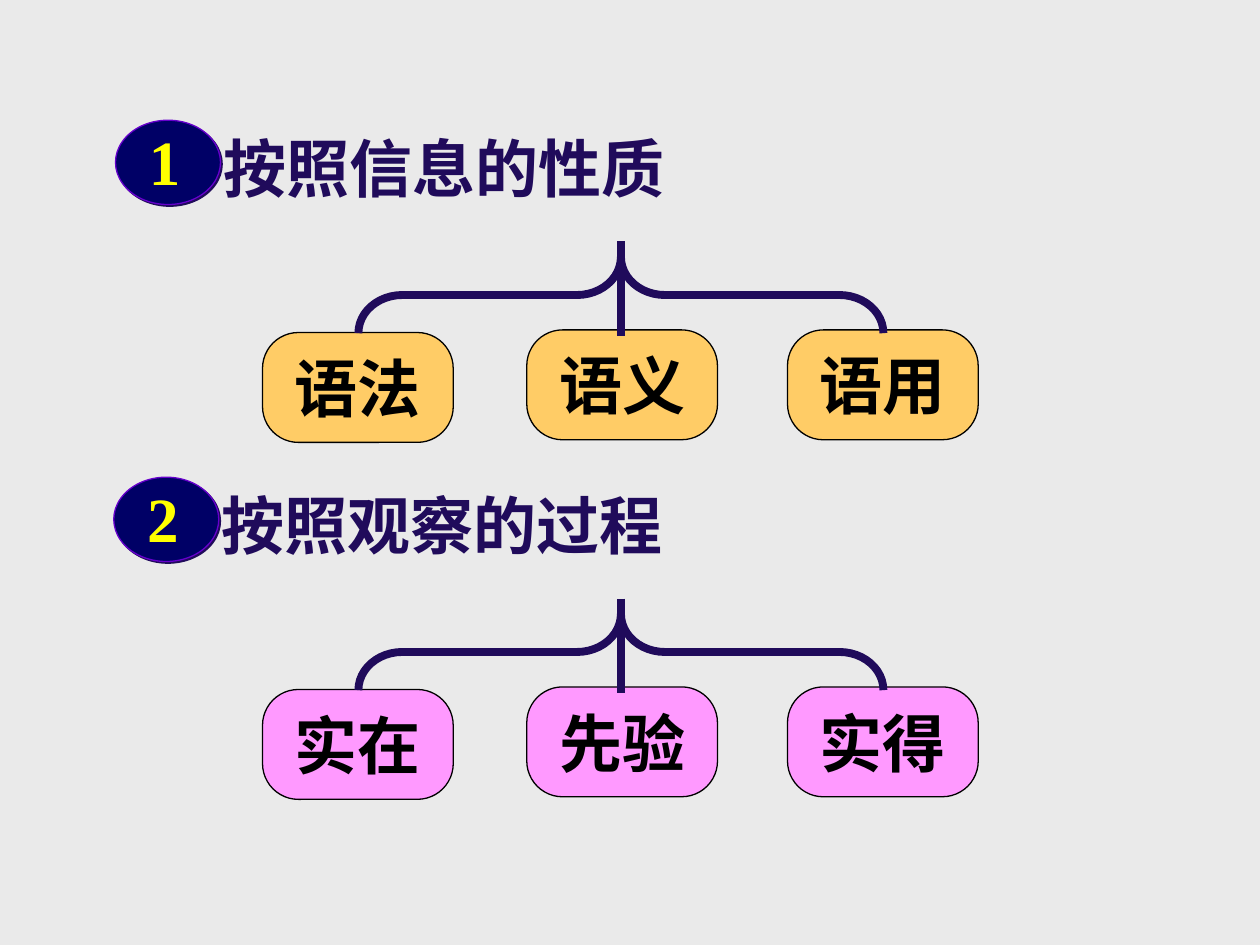
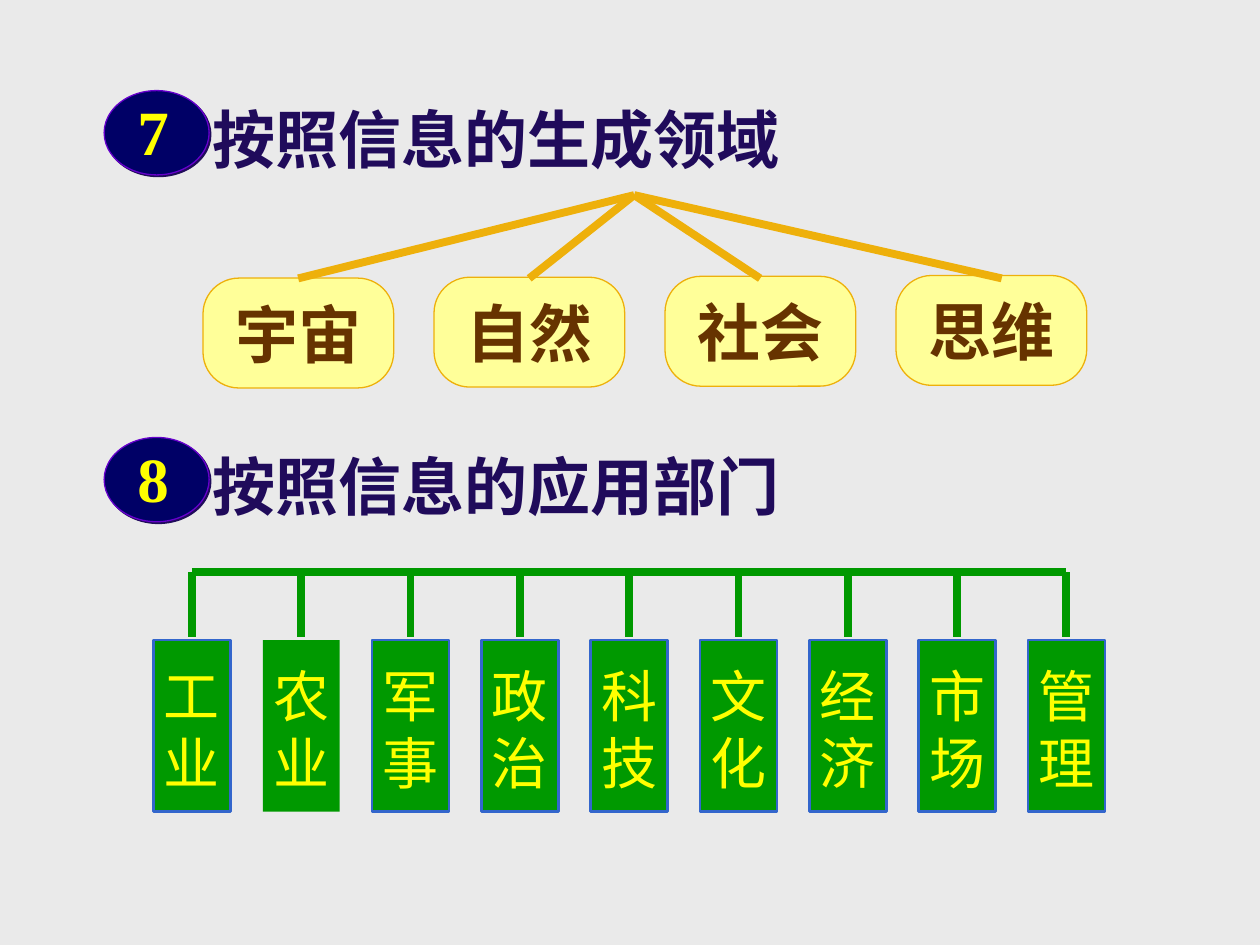
from lxml.etree import SubElement
from pptx import Presentation
from pptx.dml.color import RGBColor
from pptx.enum.shapes import MSO_CONNECTOR, MSO_SHAPE
from pptx.enum.text import MSO_ANCHOR, PP_ALIGN
from pptx.oxml.ns import qn
from pptx.util import Pt

COLORS = {
    "background": "EAEAEA", "heading": "200B5B", "badge": "000066",
    "badge_edge": "6600CC", "yellow": "FFFF00", "black": "000000",
    "orange": "FFCC66", "pink": "FF99FF", "cream": "FFFF99",
    "gold": "EEB00B", "brown": "663300", "green": "009900", "blue": "3366CC",
}
TILE_W, TILE_H = 109, 62.8
BRANCH_WEIGHT = 4.5


def color(name):
    """Return the named palette colour."""
    return RGBColor.from_string(COLORS[name])


def add_figure(slide, preset, box, fill, edge=None, weight=0.75):
    """Add a preset shape without theme effects."""
    figure = slide.shapes.add_shape(preset, *map(Pt, box))
    figure.shadow.inherit = False
    if fill:
        figure.fill.solid()
        figure.fill.fore_color.rgb = color(fill)
    else:
        figure.fill.background()
    if edge:
        figure.line.color.rgb = color(edge)
        figure.line.width = Pt(weight)
    else:
        figure.line.fill.background()
    return figure


def write(holder, words, font, size, ink, bold=True, align=PP_ALIGN.LEFT,
          anchor=MSO_ANCHOR.TOP, margins=(7.2, 3.6, 7.2, 3.6), wrap=True):
    """Fill a shape or text box with one styled paragraph."""
    frame = holder.text_frame
    frame.word_wrap = wrap
    frame.vertical_anchor = anchor
    (frame.margin_left, frame.margin_top,
     frame.margin_right, frame.margin_bottom) = map(Pt, margins)
    paragraph = frame.paragraphs[0]
    paragraph.text = words
    paragraph.alignment = align
    paragraph.font.name = font
    paragraph.font.size = Pt(size)
    paragraph.font.bold = bold
    paragraph.font.color.rgb = color(ink)


def add_branch(slide, start, end, ink):
    """Draw one thick straight branch between two points."""
    branch = slide.shapes.add_connector(
        MSO_CONNECTOR.STRAIGHT, *map(Pt, (*start, *end)))
    branch.line.color.rgb = color(ink)
    branch.line.width = Pt(BRANCH_WEIGHT)
    SubElement(branch._element.spPr, qn("a:effectLst"))


def add_heading(slide, left, top, number, words, width):
    """Add a numbered oval badge followed by its heading."""
    title = slide.shapes.add_textbox(*map(Pt, (left + 7, top + 2, width, 54)))
    write(title, words, "Times New Roman", 36, "heading",
          margins=(54.8, 3.6, 0, 3.6), wrap=False)
    oval = add_figure(slide, MSO_SHAPE.OVAL, (left, top, 60, 48.2),
                      "badge", "badge_edge")
    effects = oval._element.spPr.find(qn("a:effectLst"))
    shadow = SubElement(effects, qn("a:outerShdw"),
                        dist=str(Pt(1.4)), dir="2700000", algn="ctr")
    SubElement(shadow, qn("a:srgbClr"), val=COLORS["heading"])
    numeral = slide.shapes.add_textbox(
        *map(Pt, (left + 12, top - 2.2, 33, 50.4)))
    write(numeral, number, "Times New Roman", 36, "yellow")


def add_tile(slide, left, top, words, fill, edge, ink):
    """Add one rounded category tile."""
    tile = add_figure(slide, MSO_SHAPE.ROUNDED_RECTANGLE,
                      (left, top, TILE_W, TILE_H), fill, edge)
    tile.adjustments[0] = 0.326
    write(tile, words, "Arial", 36, ink, align=PP_ALIGN.CENTER,
          anchor=MSO_ANCHOR.MIDDLE)


def add_brace_tree(slide, left, top, kinds, fill):
    """Add three tiles hanging from a brace with a central stem."""
    offsets = ((0, 52), (151, 50.5), (300, 50.5))
    for words, (across, down) in zip(kinds, offsets):
        add_tile(slide, left + across, top + down, words, fill,
                 "black", "black")
    span, depth = 300, 43.6
    middle = left + 204.8
    brace = add_figure(
        slide, MSO_SHAPE.LEFT_BRACE,
        (middle - depth / 2, top + 8.8 + (depth - span) / 2, depth, span),
        None, "heading", BRANCH_WEIGHT)
    brace.adjustments[0] = 0.575
    brace.rotation = 90
    add_branch(slide, (middle, top), (middle, top + 54), "heading")


def add_fan_tree(slide, left, top, fields):
    """Add a row of tiles joined by a fan of straight branches."""
    pitch = 132
    for column, words in enumerate(fields):
        add_tile(slide, left + column * pitch, top + 47.4 - column * 0.5,
                 words, "cream", "gold", "brown")
    for tip in (54.4, 186.4, 318.4, 456.4):
        add_branch(slide, (left + 246.4, top), (left + tip, top + 47.6),
                   "gold")


def add_comb_tree(slide, left, top, departments):
    """Add upright department plates hanging from a horizontal bar."""
    pitch, plate_w = 62.47, 43.9
    for column, words in enumerate(departments):
        x = left + column * pitch
        edge = None if words == "农业" else "blue"
        plate = add_figure(slide, MSO_SHAPE.RECTANGLE,
                           (x, top + 38.8, plate_w, 98), "green", edge, 1.5)
        write(plate, words, "Noto Sans CJK SC", 32, "yellow", bold=False,
              margins=(5.9, 12.2, 2, 0))
        middle = x + plate_w / 2
        add_branch(slide, (middle, top), (middle, top + 36.8), "green")
    first = left + plate_w / 2
    last = first + (len(departments) - 1) * pitch
    add_branch(slide, (first, top), (last, top), "green")


def add_page(deck):
    """Add a blank slide with the shared background."""
    slide = deck.slides.add_slide(deck.slide_layouts[6])
    slide.background.fill.solid()
    slide.background.fill.fore_color.rgb = color("background")
    return slide


def build_nature_and_observation(deck):
    """Build the slide on nature and process of observation."""
    slide = add_page(deck)
    add_heading(slide, 66, 68.7, "1", "按照信息的性质", 335)
    add_brace_tree(slide, 150, 138, ("语法", "语义", "语用"), "orange")
    add_heading(slide, 65, 272.7, "2", "按照观察的过程", 335)
    add_brace_tree(slide, 150, 342, ("实在", "先验", "实得"), "pink")


def build_fields_and_departments(deck):
    """Build the slide on fields of origin and departments of use."""
    slide = add_page(deck)
    add_fan_tree(slide, 116, 111.5, ("宇宙", "自然", "社会", "思维"))
    add_comb_tree(slide, 87.7, 327, (
        "工业", "农业", "军事", "政治", "科技", "文化", "经济", "市场", "管理"))
    add_heading(slide, 59.5, 51.8, "7", "按照信息的生成领域", 413)
    add_heading(slide, 59.5, 250, "8", "按照信息的应用部门", 413)


def main():
    """Build and save the deck."""
    deck = Presentation()
    deck.slide_width, deck.slide_height = Pt(720), Pt(540)
    build_nature_and_observation(deck)
    build_fields_and_departments(deck)
    deck.save("out.pptx")


if __name__ == "__main__":
    main()
